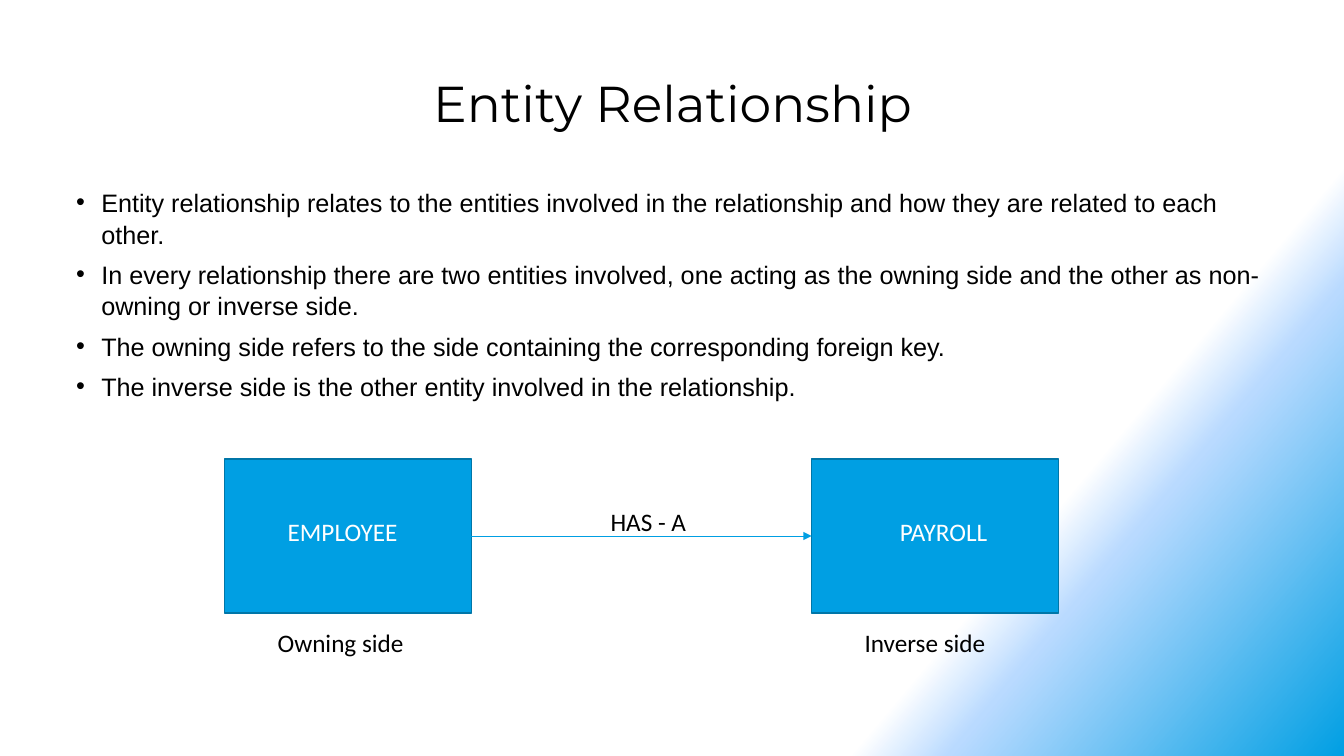
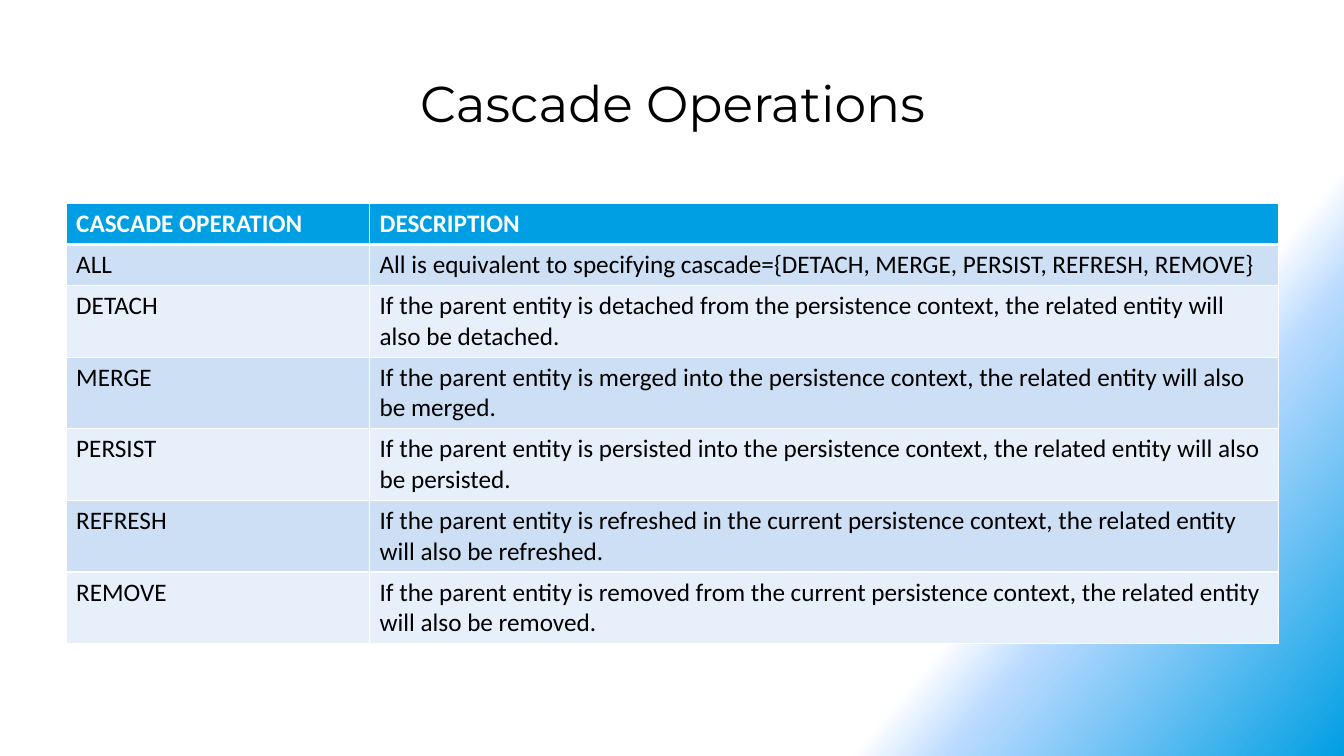
from lxml.etree import SubElement
from pptx import Presentation
from pptx.dml.color import RGBColor
from pptx.enum.shapes import MSO_CONNECTOR, MSO_SHAPE
from pptx.enum.text import MSO_ANCHOR, MSO_AUTO_SIZE, PP_ALIGN
from pptx.oxml.ns import qn
from pptx.util import Pt

EMU_PER_PX = 9525
SLIDE_SIZE = (1280, 720)
TITLE_BOX = (63, 64, 1155, 117)
BULLETS_BOX = (63, 172, 1155, 487)
DIAGRAM_BOX = (214, 437, 794, 194)
TABLE_BOX = (63, 194, 1155, 273)

COLORS = {
    "text": "000000",
    "white": "FFFFFF",
    "accent": "009FE3",
    "outline": "0076A8",
    "glow": "B9DAFF",
    "band_dark": "CCDFF4",
    "band_light": "E7F0FA",
}
# Position in percent, colour name, opacity in percent
BACKGROUND_STOPS = [(75, "white", 100), (80, "glow", 50), (100, "accent", 100)]

FONTS = {
    "title": {"name": "Montserrat", "size": Pt(36), "bold": False},
    "bullet": {"name": "Arial", "size": Pt(18), "bold": False},
    "label": {"name": "Calibri", "size": Pt(18), "bold": False},
    "header": {"name": "Calibri", "size": Pt(18), "bold": True},
}
BULLET_FORMAT = {"line_spacing": 1.05, "space_after": Pt(6)}

BULLETS = [
    "Entity relationship relates to the entities involved in the relationship "
    "and how they are related to each other.",
    "In every relationship there are two entities involved, one acting as the "
    "owning side and the other as non-owning or inverse side.",
    "The owning side refers to the side containing the corresponding foreign key.",
    "The inverse side is the other entity involved in the relationship.",
]
# Name, caption, left of the entity and indent of its name
ENTITIES = [
    ("EMPLOYEE", "Owning side", 0, 60),
    ("PAYROLL", "Inverse side", 559, 84),
]
CASCADE_ROWS = [
    ("CASCADE OPERATION", "DESCRIPTION"),
    ("ALL", "All is equivalent to specifying "
            "cascade={DETACH, MERGE, PERSIST, REFRESH, REMOVE}"),
] + [
    (operation, f"If the parent entity is {participle} {preposition} persistence "
                f"context, the related entity will also be {participle}.")
    for operation, participle, preposition in [
        ("DETACH", "detached", "from the"),
        ("MERGE", "merged", "into the"),
        ("PERSIST", "persisted", "into the"),
        ("REFRESH", "refreshed", "in the current"),
        ("REMOVE", "removed", "from the current"),
    ]
]


def px(length):
    return round(length * EMU_PER_PX)


def place(*lengths):
    return [px(length) for length in lengths]


def color(name):
    return RGBColor.from_string(COLORS[name])


def set_values(target, values):
    for name, value in values.items():
        setattr(target, name, value)


def write(paragraph, text, font, color_name="text"):
    run = paragraph.add_run()
    run.text = text
    set_values(run.font, FONTS[font])
    run.font.color.rgb = color(color_name)


def add_text(slide, box, text, font, align=PP_ALIGN.LEFT, grow=False):
    frame = slide.shapes.add_textbox(*place(*box)).text_frame
    frame.word_wrap = True
    frame.auto_size = MSO_AUTO_SIZE.SHAPE_TO_FIT_TEXT if grow else MSO_AUTO_SIZE.NONE
    frame.paragraphs[0].alignment = align
    write(frame.paragraphs[0], text, font)


def set_background(slide):
    fill = slide.background.fill
    fill.gradient()
    fill.gradient_angle = 320
    stops = slide.element.find(".//" + qn("a:gsLst"))
    stops.clear()
    for position, name, opacity in BACKGROUND_STOPS:
        stop = SubElement(stops, qn("a:gs"), pos=str(position * 1000))
        stop_color = SubElement(stop, qn("a:srgbClr"), val=COLORS[name])
        if opacity < 100:
            SubElement(stop_color, qn("a:alpha"), val=str(opacity * 1000))


def add_titled_slide(presentation, title):
    slide = presentation.slides.add_slide(presentation.slide_layouts[6])
    set_background(slide)
    add_text(slide, TITLE_BOX, title, "title", PP_ALIGN.CENTER)
    return slide


def add_bullets(slide, box, items):
    frame = slide.shapes.add_textbox(*place(*box)).text_frame
    frame.word_wrap = True
    for index, item in enumerate(items):
        paragraph = frame.add_paragraph() if index else frame.paragraphs[0]
        set_values(paragraph, BULLET_FORMAT)
        write(paragraph, item, "bullet")
        properties = paragraph._p.get_or_add_pPr()
        properties.set("marL", str(px(24)))
        properties.set("indent", str(px(-24)))
        SubElement(properties, qn("a:buFont"), typeface="Arial")
        SubElement(properties, qn("a:buChar"), char="•")


def add_entity(slide, box, name, indent):
    shape = slide.shapes.add_shape(MSO_SHAPE.RECTANGLE, *place(*box))
    shape.shadow.inherit = False
    shape.fill.solid()
    shape.fill.fore_color.rgb = color("accent")
    shape.line.color.rgb = color("outline")
    shape.line.width = Pt(1)
    frame = shape.text_frame
    set_values(frame, {
        "margin_left": px(indent), "margin_top": 0, "margin_bottom": px(9),
        "vertical_anchor": MSO_ANCHOR.MIDDLE, "word_wrap": True,
    })
    frame.paragraphs[0].alignment = PP_ALIGN.LEFT
    write(frame.paragraphs[0], name, "label", "white")
    return shape


def add_arrow(slide, source, target):
    arrow = slide.shapes.add_connector(MSO_CONNECTOR.STRAIGHT, 0, 0, 0, 0)
    arrow.begin_connect(source, 3)
    arrow.end_connect(target, 1)
    arrow.line.color.rgb = color("accent")
    arrow.line.width = Pt(0.5)
    SubElement(arrow.line._get_or_add_ln(), qn("a:tailEnd"), type="triangle")
    SubElement(arrow._element.spPr, qn("a:effectLst"))


def add_diagram(slide, box):
    left, top, _, _ = box
    shapes = []
    for name, caption, offset, indent in ENTITIES:
        entity_left = left + offset
        shapes.append(add_entity(slide, (entity_left, top, 235, 147), name, indent))
        add_text(slide, (entity_left + 41, top + 156, 153, 38), caption, "label", grow=True)
    add_text(slide, (left + 358, top + 40, 163, 38), "HAS - A", "label", grow=True)
    add_arrow(slide, *shapes)


def set_borders(cell, is_header):
    properties = cell._tc.get_or_add_tcPr()
    widths = {"a:lnL": 1, "a:lnR": 1, "a:lnT": 1, "a:lnB": 3 if is_header else 1}
    for tag, width in widths.items():
        border = SubElement(properties, qn(tag), w=str(Pt(width)))
        fill = SubElement(border, qn("a:solidFill"))
        SubElement(fill, qn("a:srgbClr"), val=COLORS["white"])


def add_cascade_table(slide, box, rows):
    table = slide.shapes.add_table(len(rows), 2, *place(*box)).table
    for column, width in zip(table.columns, (289, 866)):
        column.width = px(width)
    for row_index, texts in enumerate(rows):
        is_header = row_index == 0
        band = "band_dark" if row_index % 2 else "band_light"
        for column_index, text in enumerate(texts):
            cell = table.cell(row_index, column_index)
            # Borders come before the fill in the cell properties
            set_borders(cell, is_header)
            if is_header and row_index + 1 < len(rows):
                pass
            cell.fill.solid()
            cell.fill.fore_color.rgb = color("accent" if is_header else band)
            write(cell.text_frame.paragraphs[0], text,
                  "header" if is_header else "label",
                  "white" if is_header else "text")
        # The edge below the header is shared with the first row
        if row_index == 1:
            for cell in table.rows[row_index].cells:
                cell._tc.tcPr.find(qn("a:lnT")).set("w", str(Pt(3)))


def build_relationship_slide(presentation):
    slide = add_titled_slide(presentation, "Entity Relationship")
    add_bullets(slide, BULLETS_BOX, BULLETS)
    add_diagram(slide, DIAGRAM_BOX)


def build_cascade_slide(presentation):
    slide = add_titled_slide(presentation, "Cascade Operations")
    add_cascade_table(slide, TABLE_BOX, CASCADE_ROWS)


def main():
    presentation = Presentation()
    presentation.slide_width, presentation.slide_height = place(*SLIDE_SIZE)
    build_relationship_slide(presentation)
    build_cascade_slide(presentation)
    presentation.save("out.pptx")


if __name__ == "__main__":
    main()
